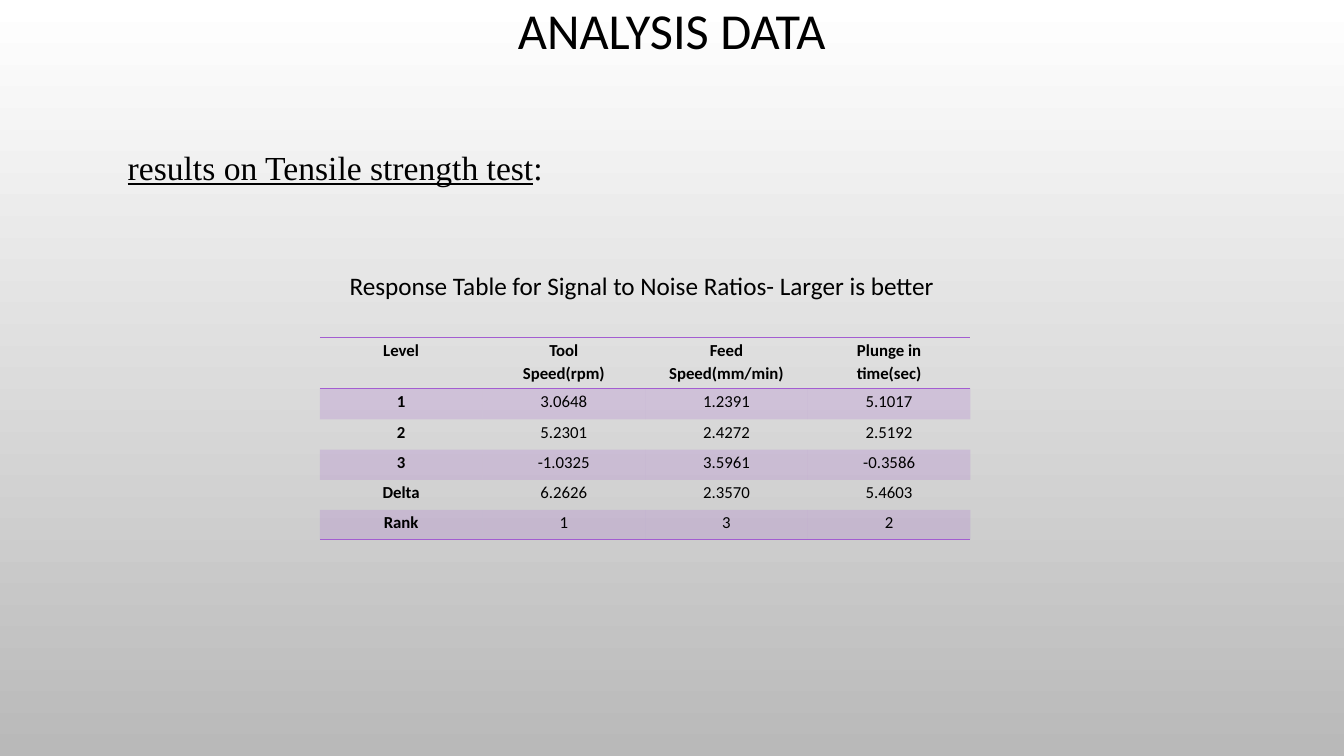
from dataclasses import dataclass

from lxml.etree import SubElement
from pptx import Presentation
from pptx.dml.color import RGBColor
from pptx.enum.text import MSO_ANCHOR, MSO_AUTO_SIZE, PP_ALIGN
from pptx.oxml.ns import qn
from pptx.util import Cm, Pt


@dataclass(frozen=True)
class Theme:
    ink: str = "000000"
    accent: str = "A35DD1"
    backdrop_top: str = "FFFFFF"
    backdrop_bottom: str = "B9B9B9"
    sans: str = "Calibri"
    serif: str = "Times New Roman"
    title_size: int = 36
    heading_size: int = 24
    caption_size: int = 18
    table_size: int = 12
    band_opacity: int = 20


THEME = Theme()

RESPONSES = [
    ["Level", "Tool\nSpeed(rpm)", "Feed\nSpeed(mm/min)", "Plunge in\ntime(sec)"],
    ["1", "3.0648", "1.2391", "5.1017"],
    ["2", "5.2301", "2.4272", "2.5192"],
    ["3", "-1.0325", "3.5961", "-0.3586"],
    ["Delta", "6.2626", "2.3570", "5.4603"],
    ["Rank", "1", "3", "2"],
]
ROW_HEIGHTS = [1.28, 0.79, 0.76, 0.76, 0.76, 0.74]
COLUMN_WIDTH = 4.1


def format_run(run, size, font=THEME.sans, bold=False):
    run.font.size = Pt(size)
    run.font.name = font
    run.font.bold = bold
    run.font.color.rgb = RGBColor.from_string(THEME.ink)


def paint_backdrop(slide):
    fill = slide.background.fill
    fill.gradient()
    fill.gradient_angle = 270
    colors = (THEME.backdrop_top, THEME.backdrop_bottom)
    for stop, position, color in zip(fill.gradient_stops, (0, 1), colors):
        stop.position = position
        stop.color.rgb = RGBColor.from_string(color)


def place_title(slide, wording):
    title = slide.shapes.title
    title.left, title.top = Cm(2.54), Cm(-1.4)
    title.width, title.height = Cm(28.78), Cm(4.45)
    frame = title.text_frame
    frame.text = wording
    frame.vertical_anchor = MSO_ANCHOR.MIDDLE
    frame.auto_size = MSO_AUTO_SIZE.NONE
    paragraph = frame.paragraphs[0]
    paragraph.alignment = PP_ALIGN.CENTER
    paragraph.line_spacing = 0.9
    format_run(paragraph.runs[0], THEME.title_size)


def add_label(slide, left, top, width, height, wording, size, font, wrap):
    label = slide.shapes.add_textbox(Cm(left), Cm(top), Cm(width), Cm(height))
    frame = label.text_frame
    frame.word_wrap = wrap
    frame.auto_size = MSO_AUTO_SIZE.SHAPE_TO_FIT_TEXT
    frame.text = wording
    paragraph = frame.paragraphs[0]
    format_run(paragraph.runs[0], size, font)
    return paragraph


def set_borders(cell, ruled_sides):
    properties = cell._tc.get_or_add_tcPr()
    for side in "LRTB":
        border = SubElement(properties, qn(f"a:ln{side}"), w=str(Pt(1)))
        if side in ruled_sides:
            solid = SubElement(border, qn("a:solidFill"))
            SubElement(solid, qn("a:srgbClr"), val=THEME.accent)
        else:
            SubElement(border, qn("a:noFill"))


def fill_cell(cell, banded):
    if not banded:
        cell.fill.background()
        return
    cell.fill.solid()
    cell.fill.fore_color.rgb = RGBColor.from_string(THEME.accent)
    color = cell._tc.tcPr.find(qn("a:solidFill")).find(qn("a:srgbClr"))
    SubElement(color, qn("a:alpha"), val=str(THEME.band_opacity * 1000))


def write_cell(cell, wording, bold):
    cell.margin_left = cell.margin_right = Cm(0.18)
    cell.margin_top = cell.margin_bottom = 0
    paragraph = cell.text_frame.paragraphs[0]
    paragraph.text = wording
    paragraph.alignment = PP_ALIGN.CENTER
    paragraph.line_spacing = 1.15
    paragraph.space_before = Pt(4.5)
    for run in paragraph.runs:
        format_run(run, THEME.table_size, bold=bold)


def add_response_table(slide, left, top):
    row_count, column_count = len(RESPONSES), len(RESPONSES[0])
    table = slide.shapes.add_table(
        row_count, column_count, Cm(left), Cm(top),
        Cm(COLUMN_WIDTH * column_count), Cm(sum(ROW_HEIGHTS)),
    ).table
    table.horz_banding = False
    for column in table.columns:
        column.width = Cm(COLUMN_WIDTH)
    ruled_sides = {0: "TB", 1: "T", row_count - 1: "B"}
    for level, responses in enumerate(RESPONSES):
        table.rows[level].height = Cm(ROW_HEIGHTS[level])
        for factor, response in enumerate(responses):
            cell = table.cell(level, factor)
            write_cell(cell, response, bold=level == 0 or factor == 0)
            set_borders(cell, ruled_sides.get(level, ""))
            fill_cell(cell, banded=level % 2 == 1)


def main():
    presentation = Presentation()
    presentation.slide_width = Cm(33.87)
    presentation.slide_height = Cm(19.05)
    slide = presentation.slides.add_slide(presentation.slide_layouts[5])

    paint_backdrop(slide)
    place_title(slide, "ANALYSIS DATA")
    add_response_table(slide, 8.06, 8.5)
    add_label(slide, 8.56, 6.68, 15.4, 1.02,
              "Response Table for Signal to Noise Ratios- Larger is better",
              THEME.caption_size, THEME.sans, wrap=False)
    heading = add_label(slide, 2.97, 3.58, 11.23, 1.28,
                        "results on Tensile strength test",
                        THEME.heading_size, THEME.serif, wrap=True)
    heading.runs[0].font.underline = True
    colon = heading.add_run()
    colon.text = ":"
    format_run(colon, THEME.heading_size, THEME.serif)

    presentation.save("out.pptx")


if __name__ == "__main__":
    main()
